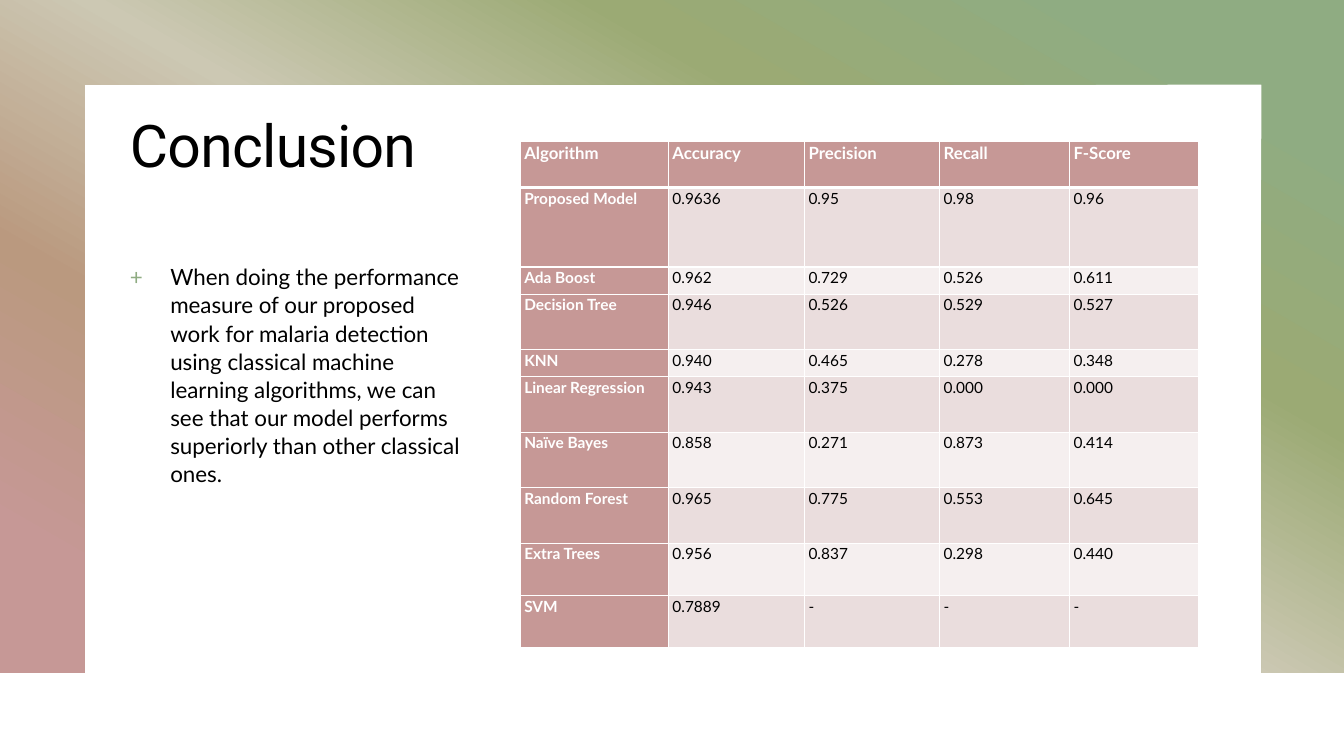
import pptx
import pptx.util
import pptx.dml.color
import pptx.oxml
import pptx.oxml.ns

Inches, Pt = pptx.util.Inches, pptx.util.Pt
RGB = pptx.dml.color.RGBColor
NS = pptx.oxml.ns.nsdecls("a")

WHITE = RGB(0xFF, 0xFF, 0xFF)
BLACK = RGB(0x00, 0x00, 0x00)
GREEN = RGB(0x8F, 0xAC, 0x82)
OLIVE = RGB(0x9B, 0xAA, 0x74)
SAND = RGB(0xCC, 0xC8, 0xB3)
TAN = RGB(0xBA, 0x99, 0x7F)
ROSE = RGB(0xC6, 0x98, 0x96)
BANDS = [RGB(0xF5, 0xEF, 0xEF), RGB(0xEA, 0xDD, 0xDD)]

deck = pptx.Presentation()
deck.slide_width, deck.slide_height = Inches(13.33), Inches(7.5)
wide, high = deck.slide_width, deck.slide_height
slide = deck.slides.add_slide(deck.slide_layouts[6])


def write(frame, text, para, font):
    frame.word_wrap = True
    line = frame.paragraphs[0]
    run = line.add_run()
    run.text = text
    for key, value in para.items():
        setattr(line, key, value)
    for key, value in font.items():
        if key == "color":
            run.font.color.rgb = value
        else:
            setattr(run.font, key, value)
    return line, run


# Gradient frame, open at the bottom
base, edge = 0.89 * high, 0.063 * wide
top, right = 0.112 * high, wide - 0.0615 * wide
pen = slide.shapes.build_freeform(0, 0)
pen.add_line_segments([(wide, 0), (wide, base), (right, base), (right, top),
                       (edge, top), (edge, base), (0, base)])
frame = pen.convert_to_shape()
frame.shadow.inherit = False
frame.line.fill.background()
frame.fill.gradient()
frame.fill.gradient_angle = 240
stops = frame.fill._fill._gradFill.find(pptx.oxml.ns.qn("a:gsLst"))
for stop in list(stops):
    stops.remove(stop)
for share, tint in zip(range(10, 100, 20), [GREEN, OLIVE, SAND, TAN, ROSE]):
    stops.append(pptx.oxml.parse_xml(
        f'<a:gs {NS} pos="{share * 1000}"><a:srgbClr val="{tint}"/></a:gs>'))

# Title and body
left = 0.0893 * wide
title = slide.shapes.add_textbox(left, 0.144 * high, 0.75 * wide, 0.196 * high)
line, run = write(title.text_frame, "Conclusion", {"line_spacing": 0.95},
                  {"name": "Roboto", "size": Pt(42), "color": BLACK})
run.font._element.set("spc", "-50")

body = slide.shapes.add_textbox(left, 0.34 * high, 0.264 * wide, 0.456 * high)
line, run = write(
    body.text_frame,
    "When doing the performance measure of our proposed work for malaria "
    "detection using classical machine learning algorithms, we can see that "
    "our model performs superiorly than other classical ones.",
    {"line_spacing": 1.05, "space_before": Pt(9)},
    {"name": "Lato", "size": Pt(16), "color": BLACK})
props = line._p.get_or_add_pPr()
props.set("marL", str(Inches(0.4)))
props.set("indent", str(-Inches(0.4)))
for mark in (f'<a:buClr {NS}><a:srgbClr val="{GREEN}"/></a:buClr>',
             f'<a:buFont {NS} typeface="Lato"/>',
             f'<a:buChar {NS} char="+"/>'):
    props.append(pptx.oxml.parse_xml(mark))

# Scores table
scores = [
    ["Algorithm", "Accuracy", "Precision", "Recall", "F-Score"],
    ["Proposed Model", "0.9636", "0.95", "0.98", "0.96"],
    ["Ada Boost", "0.962", "0.729", "0.526", "0.611"],
    ["Decision Tree", "0.946", "0.526", "0.529", "0.527"],
    ["KNN", "0.940", "0.465", "0.278", "0.348"],
    ["Linear Regression", "0.943", "0.375", "0.000", "0.000"],
    ["Naïve Bayes", "0.858", "0.271", "0.873", "0.414"],
    ["Random Forest", "0.965", "0.775", "0.553", "0.645"],
    ["Extra Trees", "0.956", "0.837", "0.298", "0.440"],
    ["SVM", "0.7889", "-", "-", "-"],
]
widths = [1.47, 1.35, 1.34, 1.29, 1.28]
heights = [0.46, 0.79, 0.27, 0.55, 0.27, 0.55, 0.55, 0.55, 0.52, 0.52]
table = slide.shapes.add_table(
    len(heights), len(widths), Inches(5.16), Inches(1.4),
    Inches(sum(widths)), Inches(sum(heights))).table
for col, width in zip(table.columns, widths):
    col.width = Inches(width)
for row, height in zip(table.rows, heights):
    row.height = Inches(height)

margins = {"margin_left": Inches(0.04), "margin_right": Inches(0.04),
           "margin_top": 0, "margin_bottom": 0}
for r, row in enumerate(scores):
    for c, text in enumerate(row):
        cell = table.cell(r, c)
        for key, value in margins.items():
            setattr(cell, key, value)
        head, label = r == 0, r == 0 or c == 0
        gap = {"space_before": Pt(12)} if head else {"space_after": Pt(8)}
        write(cell.text_frame, text, {"line_spacing": 1.07, **gap},
              {"name": "Lato", "size": Pt(12 if head else 11),
               "bold": label, "color": WHITE if label else BLACK})
        for side in "LRTB":
            thick = (r, side) in [(0, "B"), (1, "T")]
            cell._tc.get_or_add_tcPr().append(pptx.oxml.parse_xml(
                f'<a:ln{side} {NS} w="{Pt(3 if thick else 1)}"><a:solidFill>'
                f'<a:srgbClr val="{WHITE}"/></a:solidFill></a:ln{side}>'))
        cell.fill.solid()
        cell.fill.fore_color.rgb = ROSE if label else BANDS[r % 2]

deck.save("out.pptx")
